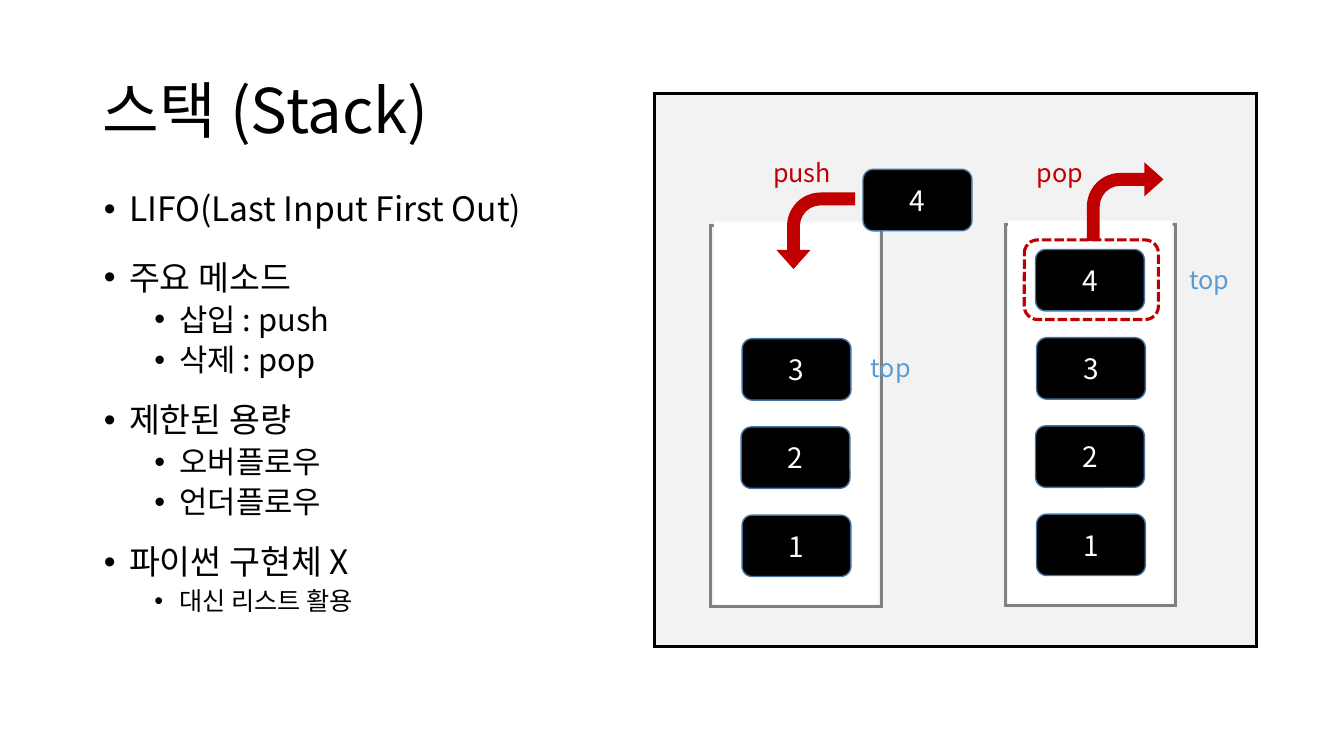
from dataclasses import dataclass
from typing import Optional

from pptx import Presentation
from pptx.dml.color import RGBColor
from pptx.enum import dml, shapes, text
from pptx.oxml import ns, xmlchemy as xml
from pptx.util import Inches, Pt

FONT = "Noto Sans CJK KR"
BLACK = RGBColor(0, 0, 0)
WHITE = RGBColor(0xFF, 0xFF, 0xFF)
PALE = RGBColor(0xF2, 0xF2, 0xF2)
GREY = RGBColor(0x80, 0x80, 0x80)
RED = RGBColor(0xC0, 0, 0)
BLUE = RGBColor(0x5B, 0x9B, 0xD5)
EDGE = RGBColor(0x43, 0x73, 0x9E)
KIND = shapes.MSO_SHAPE
ALIGN = text.PP_ALIGN


@dataclass
class Box:
    left: float
    top: float
    width: float
    height: float

    def place(self) -> tuple:
        return tuple(map(Inches, (self.left, self.top, self.width, self.height)))


@dataclass
class Point:
    words: str
    size: float
    before: float
    level: int = 0


@dataclass
class Label:
    words: str
    left: float
    top: float
    color: RGBColor


@dataclass
class Stack:
    left: float
    top: float
    count: int


@dataclass
class Arrow:
    left: float
    top: float
    turn: float = 0
    flip: bool = False


POINTS = [
    Point("LIFO(Last Input First Out)", 24, 0),
    Point("주요 메소드", 24, 23.2),
    Point("삽입 : push", 22, 5, 1),
    Point("삭제 : pop", 22, 5, 1),
    Point("제한된 용량", 24, 18.2),
    Point("오버플로우", 22, 5, 1),
    Point("언더플로우", 22, 5, 1),
    Point("파이썬 구현체 X", 24, 18.2),
    Point("대신 리스트 활용", 18, 5, 1),
]
STACKS = [Stack(7.05, 2.24, 3), Stack(9.97, 2.23, 4)]
ARROWS = [Arrow(7.71, 1.9, 270, True), Arrow(10.78, 1.61)]
LABELS = [
    Label("push", 7.47, 1.51, RED),
    Label("pop", 10.03, 1.51, RED),
    Label("top", 8.35, 3.45, BLUE),
    Label("top", 11.51, 2.57, BLUE),
]
BEND = (0.168, 0.223, 0.25, 0.438)
STEP = 3.5 / 4


def write(para, words: str, size: float, color: RGBColor, align) -> None:
    para.text = words
    para.alignment = align
    font = para.font
    font.size = Pt(size)
    font.name = FONT
    font.color.rgb = color
    east = xml.OxmlElement("a:ea")
    east.set("typeface", FONT)
    font._element.find(ns.qn("a:latin")).addnext(east)


def dot(para, level: int) -> None:
    props = para._p.get_or_add_pPr()
    props.set("marL", str(Inches(0.25 + 0.5 * level)))
    props.set("indent", str(Inches(-0.25)))
    face = xml.OxmlElement("a:buFont")
    face.set("typeface", "Arial")
    mark = xml.OxmlElement("a:buChar")
    mark.set("char", "•")
    first = props.find(ns.qn("a:defRPr"))
    first.addprevious(face)
    first.addprevious(mark)


def draw(slide, kind, box: Box, fill: Optional[RGBColor] = None,
         line: Optional[RGBColor] = None, weight: float = 2.25):
    shape = slide.shapes.add_shape(kind, *box.place())
    shape.shadow.inherit = False
    if fill is None:
        shape.fill.background()
    else:
        shape.fill.solid()
        shape.fill.fore_color.rgb = fill
    if line is None:
        shape.line.fill.background()
    else:
        shape.line.color.rgb = line
        shape.line.width = Pt(weight)
        shape.line.dash_style = dml.MSO_LINE.SOLID
        join = xml.OxmlElement("a:miter")
        join.set("lim", "800000")
        shape._element.spPr.find(ns.qn("a:ln")).append(join)
    return shape


def add_item(slide, number: int, left: float, top: float) -> None:
    item = draw(slide, KIND.ROUNDED_RECTANGLE, Box(left, top, 1.08, 0.61),
                BLACK, EDGE, 1)
    frame = item.text_frame
    frame.vertical_anchor = text.MSO_ANCHOR.MIDDLE
    write(frame.paragraphs[0], str(number), 20, WHITE, ALIGN.CENTER)


def add_stack(slide, stack: Stack) -> None:
    left, top = stack.left, stack.top
    draw(slide, KIND.RECTANGLE, Box(left, top, 1.69, 3.78), line=GREY)
    draw(slide, KIND.RECTANGLE, Box(left + 0.03, top - 0.04, 1.63, 3.8), WHITE)
    for step in range(stack.count):
        add_item(slide, step + 1, left + 0.31 - 0.01 * (step % 2),
                 top + 2.87 - STEP * step)


def add_arrow(slide, arrow: Arrow) -> None:
    shape = draw(slide, KIND.BENT_ARROW,
                 Box(arrow.left, arrow.top, 0.76, 0.78), RED)
    for place, value in enumerate(BEND):
        shape.adjustments[place] = value
    shape.rotation = arrow.turn
    if arrow.flip:
        shape._element.spPr.find(ns.qn("a:xfrm")).set("flipH", "1")


def add_label(slide, label: Label) -> None:
    box = Box(label.left, label.top, 0.97, 0.4)
    frame = slide.shapes.add_textbox(*box.place()).text_frame
    frame.word_wrap = True
    frame.auto_size = text.MSO_AUTO_SIZE.SHAPE_TO_FIT_TEXT
    write(frame.paragraphs[0], label.words, 18, label.color, ALIGN.CENTER)


def seat(holder, box: Box, anchor):
    holder.left, holder.top, holder.width, holder.height = box.place()
    frame = holder.text_frame
    frame.auto_size = text.MSO_AUTO_SIZE.NONE
    frame.vertical_anchor = anchor
    return frame


def add_text(slide) -> None:
    head = seat(slide.shapes.title, Box(0.92, 0.4, 11.5, 1.45),
                text.MSO_ANCHOR.MIDDLE).paragraphs[0]
    write(head, "스택 (Stack)", 44, BLACK, ALIGN.LEFT)
    head.line_spacing = 0.9
    body = seat(slide.placeholders[1], Box(0.93, 1.86, 5.35, 4.55),
                text.MSO_ANCHOR.TOP)
    for place, point in enumerate(POINTS):
        para = body.add_paragraph() if place else body.paragraphs[0]
        write(para, point.words, point.size, BLACK, ALIGN.LEFT)
        para.level = point.level
        para.line_spacing = 0.9
        para.space_before = Pt(point.before)
        dot(para, point.level)


def main() -> None:
    deck = Presentation()
    deck.slide_width, deck.slide_height = Inches(13.33), Inches(7.5)
    slide = deck.slides.add_slide(deck.slide_layouts[1])
    add_text(slide)
    draw(slide, KIND.RECTANGLE, Box(6.49, 0.93, 5.97, 5.48), PALE, BLACK)
    for stack in STACKS:
        add_stack(slide, stack)
    add_item(slide, 4, 8.56, 1.68)
    for arrow in ARROWS:
        add_arrow(slide, arrow)
    ring = draw(slide, KIND.ROUNDED_RECTANGLE, Box(10.16, 2.38, 1.33, 0.79),
                line=RED)
    ring.line.dash_style = dml.MSO_LINE.SQUARE_DOT
    for label in LABELS:
        add_label(slide, label)
    deck.save("out.pptx")


if __name__ == "__main__":
    main()
